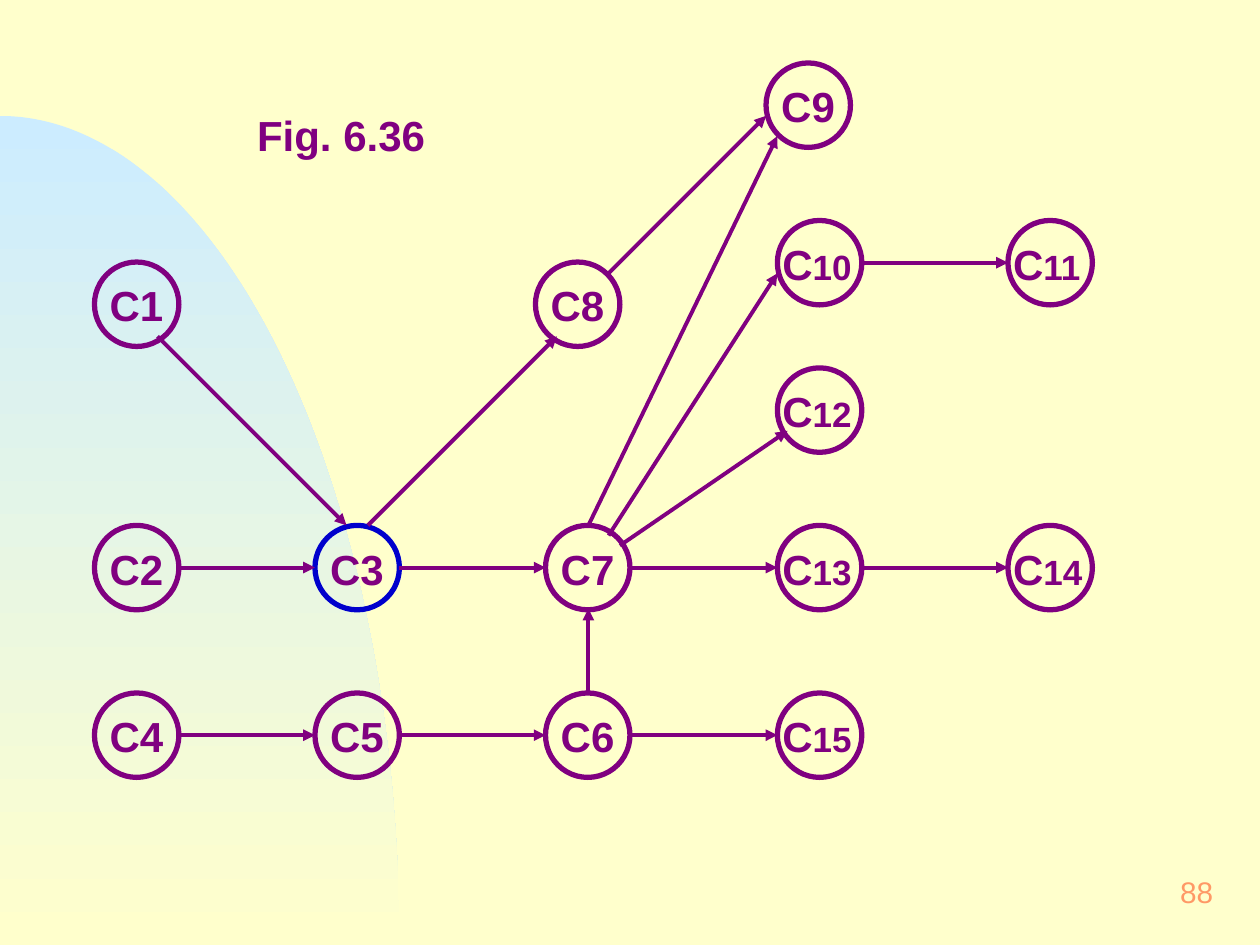
"""Build the Fig. 6.36 slide: a precedence graph of the nodes C1 to C15."""
from math import cos, pi, sin

from lxml import etree
from pptx import Presentation
from pptx.dml.color import RGBColor
from pptx.enum.shapes import MSO_CONNECTOR, MSO_SHAPE
from pptx.enum.text import MSO_ANCHOR, PP_ALIGN
from pptx.oxml.ns import qn
from pptx.util import Inches, Pt

STRAIGHT = MSO_CONNECTOR.STRAIGHT
OVAL = MSO_SHAPE.OVAL
MIDDLE = MSO_ANCHOR.MIDDLE
RIGHT = PP_ALIGN.RIGHT

PURPLE = "800080"
BLUE = "0000CC"
CREAM = "FFFFCC"
DIAMETER = 0.67
ARC_WIDTH, ARC_HEIGHT, ARC_STEPS = 3.17, 6.58, 90


def rgb(value):
    return RGBColor.from_string(value)


def add_text(x, y, w, h, runs, color=PURPLE, bold=True):
    sp = slide.shapes.add_textbox(Inches(x), Inches(y), Inches(w), Inches(h))
    tf = sp.text_frame
    tf.word_wrap = True
    tf.margin_left = tf.margin_right = Inches(0.12)
    tf.margin_top = tf.margin_bottom = Inches(0.06)
    for text, size in runs:
        r = tf.paragraphs[0].add_run()
        r.text = text
        r.font.name = "Arial"
        r.font.size = Pt(size)
        r.font.bold = bold
        r.font.color.rgb = rgb(color)
    return tf


prs = Presentation()
prs.slide_width, prs.slide_height = Inches(10), Inches(7.5)
slide = prs.slides.add_slide(prs.slide_layouts[6])
slide.background.fill.solid()
slide.background.fill.fore_color.rgb = rgb(CREAM)

angles = [pi / 2 * i / ARC_STEPS for i in range(ARC_STEPS + 1)]
arc = [(Inches(ARC_WIDTH * sin(a)), Inches(7.5 - ARC_HEIGHT * cos(a))) for a in angles]
fb = slide.shapes.build_freeform(*arc[0])
fb.add_line_segments(arc[1:] + [(0, Inches(7.5))], close=True)
sp = fb.convert_to_shape()
sp.shadow.inherit = False
sp.line.fill.background()
sp.fill.gradient()
sp.fill.gradient_angle = 270
for stop, position, color in zip(sp.fill.gradient_stops, (0, 1), ("CCECFF", CREAM)):
    stop.position = position
    stop.color.rgb = rgb(color)

tf = add_text(7.67, 6.83, 2.08, 0.5, [("88", 17)], "FF9966", False)
tf.word_wrap = False
tf.vertical_anchor = MIDDLE
tf.paragraphs[0].alignment = RIGHT

add_text(1.92, 0.81, 1.92, 0.52, [("Fig. 6.36", 24)])

nodes = {
    1: (0.75, 2.08), 2: (0.75, 4.17), 4: (0.75, 5.5),
    3: (2.5, 4.17), 5: (2.5, 5.5),
    8: (4.25, 2.08), 7: (4.33, 4.17), 6: (4.33, 5.5),
    9: (6.08, 0.5), 10: (6.17, 1.75), 12: (6.17, 2.92), 13: (6.17, 4.17), 15: (6.17, 5.5),
    11: (8, 1.75), 14: (8, 4.17),
}
for number, (x, y) in nodes.items():
    sp = slide.shapes.add_shape(OVAL, Inches(x), Inches(y), Inches(DIAMETER), Inches(DIAMETER))
    sp.shadow.inherit = False
    sp.fill.background()
    sp.line.color.rgb = rgb(BLUE if number == 3 else PURPLE)
    sp.line.width = Pt(3)
    if number < 10:
        add_text(x, y + 0.08, 0.75, 0.52, [(f"C{number}", 24)])
    else:
        add_text(x - 0.08, y + 0.08, 1, 0.52, [("C", 24), (str(number), 20)])

arrows = [
    (1.25, 2.67, 2.75, 4.17),
    (2.92, 4.17, 4.42, 2.67),
    (4.83, 2.17, 6.08, 0.92),
    (4.67, 4.17, 6.17, 1.08),
    (4.83, 4.25, 6.17, 2.17),
    (4.92, 4.33, 6.25, 3.42),
    (4.67, 5.5, 4.67, 4.83),
]
level_pairs = [(2, 3), (3, 7), (7, 13), (13, 14), (4, 5), (5, 6), (6, 15), (10, 11)]
for start, end in level_pairs:
    x, y = nodes[start]
    middle = y + DIAMETER / 2
    arrows.append((x + DIAMETER, middle, nodes[end][0], middle))

for ends in arrows:
    cx = slide.shapes.add_connector(STRAIGHT, *(Inches(v) for v in ends))
    cx.line.color.rgb = rgb(PURPLE)
    cx.line.width = Pt(2.25)
    etree.SubElement(cx.line._get_or_add_ln(), qn("a:tailEnd"), type="triangle")
    etree.SubElement(cx._element.spPr, qn("a:effectLst"))

prs.save("out.pptx")
